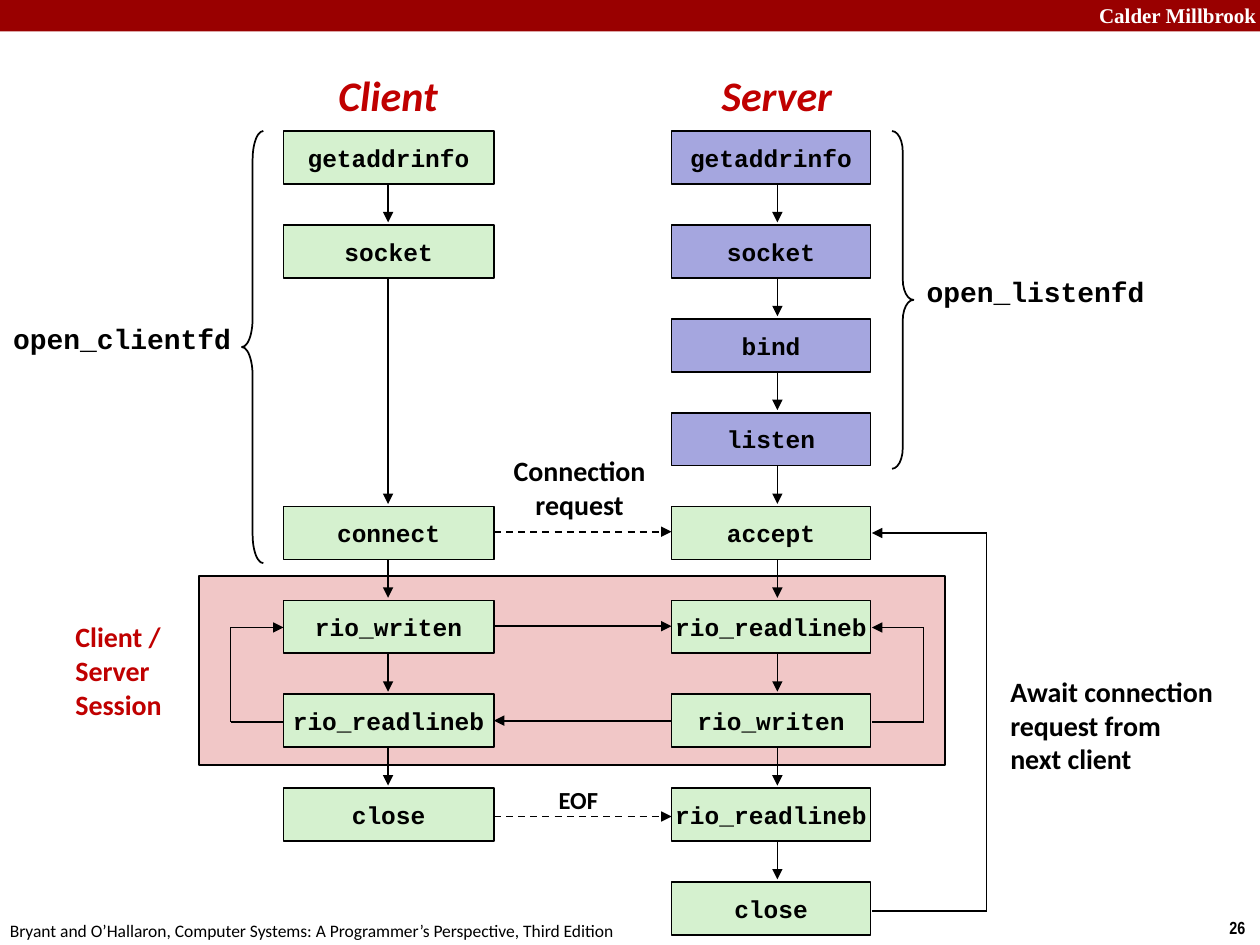
"""Build the slide on the client and server socket call sequence."""
from dataclasses import dataclass
from itertools import pairwise

from lxml import etree
from pptx import Presentation, util as u
from pptx.dml import color
from pptx.enum import dml, shapes, text
from pptx.oxml import ns


@dataclass(frozen=True)
class Theme:
    ink: str = "000000"
    white: str = "FFFFFF"
    banner: str = "990000"
    accent: str = "C00000"
    session: str = "F1C7C7"
    green: str = "D5F1CF"
    violet: str = "A5A6DF"
    sans: str = "Calibri"
    mono: str = "Courier New"
    serif: str = "Times New Roman"
    narrow: str = "Arial Narrow"
    heading: int = 24
    label: int = 16
    code: int = 14
    banner_size: int = 12
    footer: int = 10


THEME = Theme()
LEFT, CENTER, RIGHT = text.PP_ALIGN.LEFT, text.PP_ALIGN.CENTER, text.PP_ALIGN.RIGHT
TOP, MIDDLE = text.MSO_ANCHOR.TOP, text.MSO_ANCHOR.MIDDLE
FIRST_ROW, ROW_STEP, CALL_HEIGHT = 1.04, 0.745, 0.42


@dataclass(frozen=True)
class Style:
    size: int = THEME.label
    font: str = THEME.sans
    ink: str = THEME.ink
    bold: bool = True
    italic: bool = False
    align: text.PP_ALIGN = CENTER
    anchor: text.MSO_ANCHOR = MIDDLE
    wrap: bool = False


@dataclass(frozen=True)
class Label:
    lines: tuple[str, ...]
    area: tuple[float, float, float, float]
    style: Style


@dataclass(frozen=True)
class Call:
    name: str
    row: int
    fill: str = THEME.green


@dataclass(frozen=True)
class Lane:
    left: float
    width: float
    axis: float
    calls: tuple[Call, ...]


@dataclass(frozen=True)
class Route:
    points: tuple[tuple[float, float], ...]
    dashed: bool = False


@dataclass(frozen=True)
class Brace:
    kind: shapes.MSO_SHAPE
    left: float
    height: float
    curve: float


CODE = Style(THEME.code, THEME.mono)
HEADING = Style(THEME.heading, ink=THEME.accent, italic=True)
FUNCTION = Style(font=THEME.mono)

CLIENT = Lane(2.25, 1.67, 3.08, (
    Call("getaddrinfo", 0), Call("socket", 1), Call("connect", 4),
    Call("rio_writen", 5), Call("rio_readlineb", 6), Call("close", 7)))
SERVER = Lane(5.33, 1.58, 6.17, (
    Call("getaddrinfo", 0, THEME.violet), Call("socket", 1, THEME.violet),
    Call("bind", 2, THEME.violet), Call("listen", 3, THEME.violet),
    Call("accept", 4), Call("rio_readlineb", 5), Call("rio_writen", 6),
    Call("rio_readlineb", 7), Call("close", 8)))

ROUTES = (
    Route(((6.92, 5.73), (7.33, 5.73), (7.33, 4.98), (6.92, 4.98))),
    Route(((2.25, 5.73), (1.83, 5.73), (1.83, 4.98), (2.25, 4.98))),
    Route(((6.92, 7.23), (7.83, 7.23), (7.83, 4.23), (6.92, 4.23))),
    Route(((3.92, 4.97), (5.33, 4.97))),
    Route(((5.33, 5.72), (3.92, 5.72))),
    Route(((3.92, 4.22), (5.33, 4.22)), dashed=True),
    Route(((3.92, 6.48), (5.33, 6.48)), dashed=True))

BRACES = (
    Brace(shapes.MSO_SHAPE.LEFT_BRACE, 1.92, 3.43, 1.33),
    Brace(shapes.MSO_SHAPE.RIGHT_BRACE, 7.08, 2.68, 0.96))

LABELS = (
    Label(("Calder Millbrook",), (8.57, -0.03, 1.5, 0.3),
          Style(THEME.banner_size, THEME.serif, THEME.white, align=RIGHT, anchor=TOP)),
    Label(("26",), (9.66, 7.23, 0.34, 0.27),
          Style(THEME.footer, THEME.narrow, align=LEFT, anchor=TOP)),
    Label(("Bryant and O’Hallaron, Computer Systems: A Programmer’s Perspective, Third Edition",),
          (-0.02, 7.25, 5.08, 0.27),
          Style(THEME.footer, bold=False, align=LEFT, anchor=TOP)),
    Label(("Client",), (2.58, 0.5, 1, 0.5), HEADING),
    Label(("Server",), (5.62, 0.5, 1.09, 0.5), HEADING),
    Label(("Client / Server", "Session"), (0.5, 4.87, 0.92, 0.9),
          Style(ink=THEME.accent, align=LEFT, wrap=True)),
    Label(("Connection", "request"), (3.97, 3.55, 1.26, 0.64), Style()),
    Label(("EOF",), (4.33, 6.18, 0.52, 0.34), Style(THEME.code)),
    Label(("Await connection", "request from", "next client"),
          (7.92, 5.3, 1.83, 0.91), Style(align=LEFT)),
    Label(("open_listenfd",), (7.25, 2.13, 1.94, 0.37), FUNCTION),
    Label(("open_clientfd",), (0, 2.5, 1.94, 0.37), FUNCTION))


def row_top(row: int) -> float:
    return FIRST_ROW + row * ROW_STEP


def write(frame, lines: tuple[str, ...], style: Style) -> None:
    frame.word_wrap, frame.vertical_anchor = style.wrap, style.anchor
    for index, line in enumerate(lines):
        para = frame.add_paragraph() if index else frame.paragraphs[0]
        para.alignment = style.align
        span = para.add_run()
        span.text = line
        formats = {"name": style.font, "size": u.Pt(style.size),
                   "bold": style.bold, "italic": style.italic}
        for name, value in formats.items():
            setattr(span.font, name, value)
        span.font.color.rgb = color.RGBColor.from_string(style.ink)


def add_label(page, label: Label) -> None:
    box = page.shapes.add_textbox(*map(u.Inches, label.area))
    write(box.text_frame, label.lines, label.style)


def set_line(line) -> None:
    line.width = u.Pt(1)
    line.color.rgb = color.RGBColor.from_string(THEME.ink)


def add_box(page, area: tuple[float, ...], fill: str | None = None, outlined: bool = True,
            kind: shapes.MSO_SHAPE = shapes.MSO_SHAPE.RECTANGLE):
    box = page.shapes.add_shape(kind, *map(u.Inches, area))
    box.shadow.inherit = False
    if fill:
        box.fill.solid()
        box.fill.fore_color.rgb = color.RGBColor.from_string(fill)
    else:
        box.fill.background()
    if outlined:
        set_line(box.line)
    else:
        box.line.fill.background()
    return box


def add_route(page, route: Route) -> None:
    for start, end in pairwise(route.points):
        link = page.shapes.add_connector(
            shapes.MSO_CONNECTOR.STRAIGHT, *map(u.Inches, start + end))
        set_line(link.line)
        if route.dashed:
            link.line.dash_style = dml.MSO_LINE.DASH
        etree.SubElement(link.element.spPr, ns.qn("a:effectLst"))
    etree.SubElement(link.line.fill._xPr, ns.qn("a:tailEnd"), type="triangle")


def add_lane(page, lane: Lane) -> None:
    for call, following in pairwise(lane.calls):
        start, end = row_top(call.row) + 0.38, row_top(following.row) - 0.02
        add_route(page, Route(((lane.axis, start), (lane.axis, end))))
    for call in lane.calls:
        box = add_box(page, (lane.left, row_top(call.row), lane.width, CALL_HEIGHT), call.fill)
        write(box.text_frame, (call.name,), CODE)


def main() -> None:
    deck = Presentation()
    deck.slide_width, deck.slide_height = u.Inches(10), u.Inches(7.5)
    page = deck.slides.add_slide(deck.slide_layouts[6])
    add_box(page, (0, 0, 10, 0.25), THEME.banner, outlined=False)
    add_box(page, (1.58, 4.57, 5.92, 1.5), THEME.session)
    for lane in (CLIENT, SERVER):
        add_lane(page, lane)
    for route in ROUTES:
        add_route(page, route)
    for brace in BRACES:
        box = add_box(page, (brace.left, FIRST_ROW, 0.17, brace.height), kind=brace.kind)
        box.adjustments[0] = brace.curve
    for label in LABELS:
        add_label(page, label)
    deck.save("out.pptx")


main()
